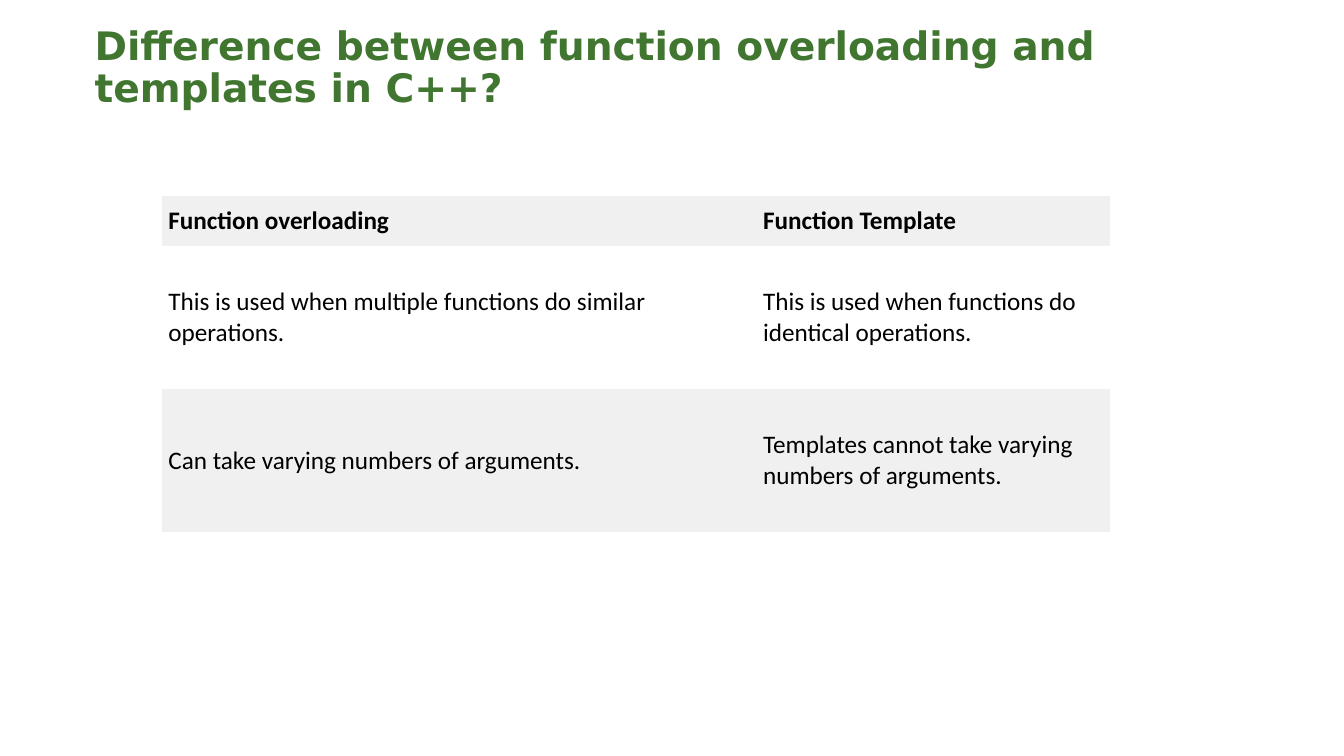
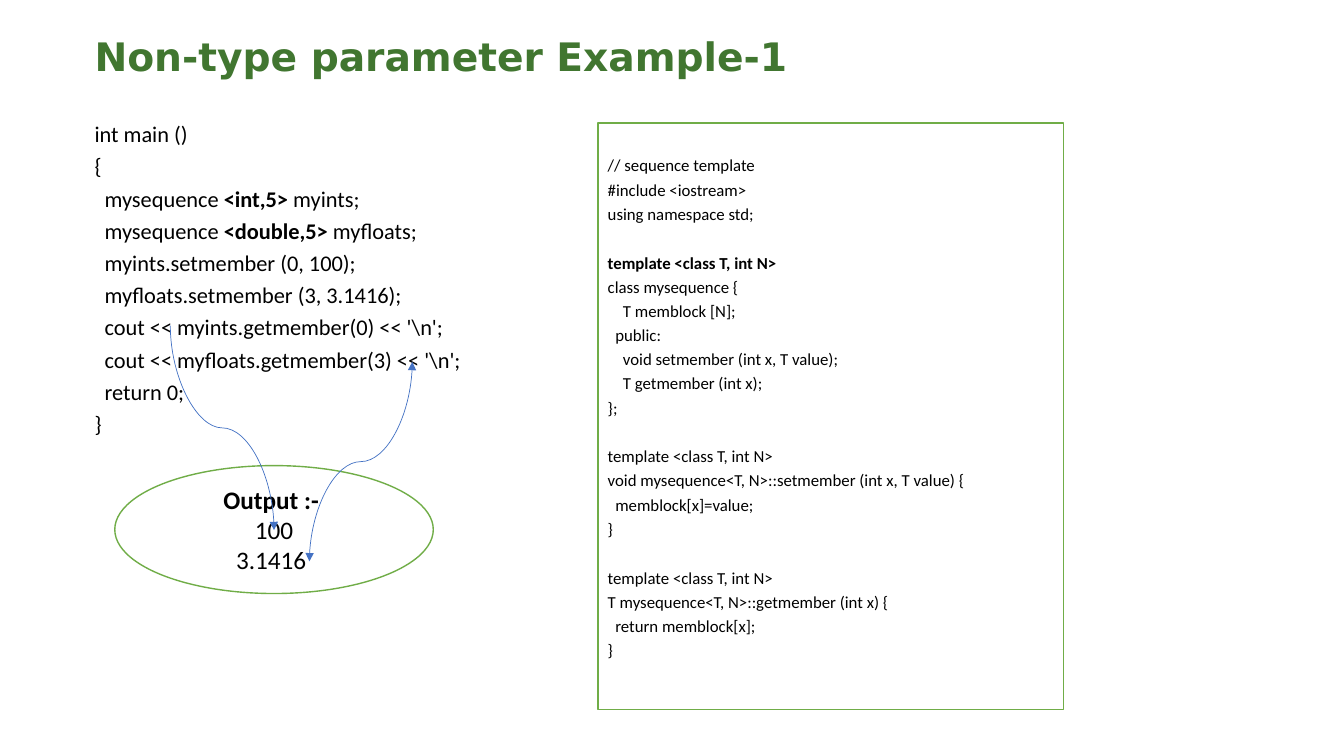
from lxml.etree import SubElement
from pptx import Presentation
from pptx.dml.color import RGBColor
from pptx.enum.shapes import MSO_CONNECTOR, MSO_SHAPE
from pptx.enum.text import MSO_ANCHOR, PP_ALIGN
from pptx.oxml.ns import qn
from pptx.util import Pt

TITLE, BLACK, WHITE = "417630", "000000", "FFFFFF"
GREEN, BLUE, BAND = "70AD47", "4472C4", "F0F0F0"
TITLE_FONT, BODY_FONT = "DejaVu Sans", "Calibri"
SPACE_WIDTH = 0.226
NO_STYLE = "{2D5ABB26-0587-4C30-8999-92F81FD0307C}"

ROWS = [
    ("**Function overloading**", "**Function Template**"),
    ("This is used when multiple functions do similar operations.",
     "This is used when functions do identical operations."),
    ("Can take varying numbers of arguments.",
     "Templates cannot take varying numbers of arguments."),
]

MAIN_CODE = r"""int main ()
{
  mysequence **<int,5>** myints;
  mysequence **<double,5>** myfloats;
  myints.setmember (0, 100);
  myfloats.setmember (3, 3.1416);
  cout << myints.getmember(0) << '\n';
  cout << myfloats.getmember(3) << '\n';
  return 0;
}"""

TEMPLATE_CODE = """// sequence template
#include <iostream>
using namespace std;

**template <class T, int N>**
class mysequence {
    T memblock [N];
  public:
    void setmember (int x, T value);
    T getmember (int x);
};

template <class T, int N>
void mysequence<T, N>::setmember (int x, T value) {
  memblock[x]=value;
}

template <class T, int N>
T mysequence<T, N>::getmember (int x) {
  return memblock[x];
}"""


def rgb(color):
    return RGBColor.from_string(color)


def write(tf, text, size=18, font=BODY_FONT, color=BLACK, align=PP_ALIGN.LEFT,
          anchor=MSO_ANCHOR.TOP, spacing=1.0):
    """Lines become paragraphs, ** marks bold, leading spaces set the indent
    and an empty line adds space before the next paragraph."""
    tf.word_wrap = True
    tf.vertical_anchor = anchor
    p, gap = None, 0
    for line in text.split("\n"):
        if not line:
            gap = size * 1.22 * spacing
            continue
        p = tf.add_paragraph() if p is not None else tf.paragraphs[0]
        p.alignment = align
        p.line_spacing = spacing
        p.space_before = Pt(gap)
        gap = 0
        code = line.lstrip()
        indent = Pt((len(line) - len(code)) * size * SPACE_WIDTH)
        p._p.get_or_add_pPr().set("marL", str(indent))
        for i, part in enumerate(code.split("**")):
            if part:
                r = p.add_run()
                r.text = part
                r.font.size = Pt(size)
                r.font.name = font
                r.font.bold = i % 2 == 1
                r.font.color.rgb = rgb(color)


def add_text(s, text, x, y, w, h, **fmt):
    sp = s.shapes.add_textbox(Pt(x), Pt(y), Pt(w), Pt(h))
    write(sp.text_frame, text, **fmt)


def add_title(s, text, y, h):
    add_text(s, f"**{text}**", 60.5, y, 839, h, size=28, font=TITLE_FONT,
             color=TITLE, anchor=MSO_ANCHOR.BOTTOM, spacing=0.9)


def add_outlined(s, kind, text, x, y, w, h, top=3.6, **fmt):
    sp = s.shapes.add_shape(kind, Pt(x), Pt(y), Pt(w), Pt(h))
    sp.shadow.inherit = False
    sp.fill.solid()
    sp.fill.fore_color.rgb = rgb(WHITE)
    sp.line.color.rgb = rgb(GREEN)
    sp.line.width = Pt(1)
    sp.text_frame.margin_top = Pt(top)
    write(sp.text_frame, text, **fmt)


def add_table(s, rows, x, y, widths, heights):
    frame = s.shapes.add_table(len(rows), len(widths), Pt(x), Pt(y),
                               Pt(sum(widths)), Pt(sum(heights)))
    table = frame.table
    table._tbl.tblPr.find(qn("a:tableStyleId")).text = NO_STYLE
    for column, width in zip(table.columns, widths):
        column.width = Pt(width)
    for i, (texts, height) in enumerate(zip(rows, heights)):
        table.rows[i].height = Pt(height)
        for j, text in enumerate(texts):
            cell = table.cell(i, j)
            cell.fill.solid()
            cell.fill.fore_color.rgb = rgb(WHITE if i % 2 else BAND)
            cell.margin_left = cell.margin_right = Pt(4.3)
            cell.margin_top = cell.margin_bottom = Pt(0.7)
            write(cell.text_frame, text)
            cell.vertical_anchor = MSO_ANCHOR.MIDDLE


def add_down_curve(s, x1, y1, x2, y2, ends):
    cx, cy = (x1 + x2) / 2, (y1 + y2) / 2
    half_w, half_h = (y2 - y1) / 2, abs(x2 - x1) / 2
    side = 1 if x2 > x1 else -1
    cxn = s.shapes.add_connector(
        MSO_CONNECTOR.CURVE, Pt(cx + side * half_w), Pt(cy - half_h),
        Pt(cx - side * half_w), Pt(cy + half_h))
    cxn.line.color.rgb = rgb(BLUE)
    cxn.line.width = Pt(0.5)
    spPr = cxn._element.spPr
    rotation = 270 if side > 0 else 90
    spPr.find(qn("a:xfrm")).set("rot", str(rotation * 60000))
    ln = spPr.find(qn("a:ln"))
    for end in ends:
        SubElement(ln, qn(f"a:{end}")).set("type", "triangle")
    SubElement(spPr, qn("a:effectLst"))


def comparison_slide(s):
    add_title(s, "Difference between function overloading and templates in C++?",
              16, 67)
    add_table(s, ROWS, 116, 140, [424.8, 252], [35.6, 102.2, 102.2])


def example_slide(s):
    add_title(s, "Non-type parameter Example-1", 21.5, 39.5)
    add_text(s, MAIN_CODE, 60.5, 78.5, 360, 240, size=16, spacing=1.2)
    add_outlined(s, MSO_SHAPE.OVAL, "**Output :- **\n100\n3.1416 ",
                 82, 332.6, 227.5, 91.4, align=PP_ALIGN.CENTER,
                 anchor=MSO_ANCHOR.MIDDLE)
    add_outlined(s, MSO_SHAPE.RECTANGLE, TEMPLATE_CODE, 427, 88, 332.6, 419,
                 top=20, size=12, spacing=1.2)
    add_down_curve(s, 294.5, 258.5, 221, 401, ["headEnd", "tailEnd"])
    add_down_curve(s, 121.7, 232.6, 195.8, 378.7, ["tailEnd"])


def main():
    prs = Presentation()
    prs.slide_width, prs.slide_height = Pt(960), Pt(540)
    for build in (comparison_slide, example_slide):
        build(prs.slides.add_slide(prs.slide_layouts[6]))
    prs.save("out.pptx")


if __name__ == "__main__":
    main()
